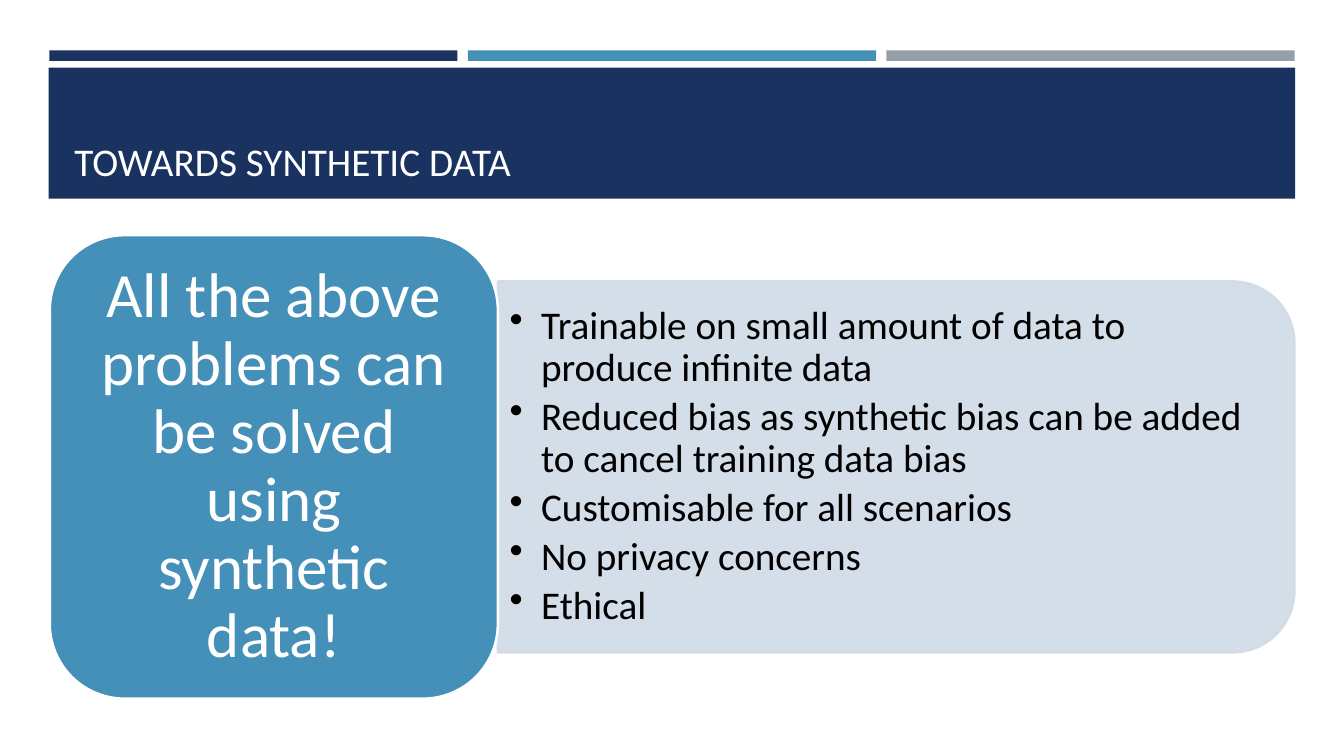
from lxml.etree import SubElement
from pptx import Presentation
from pptx.dml.color import RGBColor
from pptx.enum.shapes import MSO_SHAPE
from pptx.enum.text import MSO_ANCHOR, PP_ALIGN
from pptx.oxml.ns import qn
from pptx.util import Pt

COLOURS = {
    "navy": "1A3260",
    "blue": "4590B8",
    "grey": "969FA7",
    "pale": "CFDBE6",
    "white": "FFFFFF",
    "black": "000000",
}
BENEFITS = [
    "Trainable on small amount of data to produce infinite data",
    "Reduced bias as synthetic bias can be added to cancel training data bias",
    "Customisable for all scenarios",
    "No privacy concerns",
    "Ethical",
]


class SlideBuilder:
    """Draws styled elements on one slide, with lengths in points."""

    font = "Calibri"

    def __init__(self, slide):
        self.slide = slide

    def colour(self, name):
        return RGBColor.from_string(COLOURS[name])

    def block(self, preset, left, top, width, height, fill, line=None, opacity=None):
        block = self.slide.shapes.add_shape(
            preset, Pt(left), Pt(top), Pt(width), Pt(height))
        block.shadow.inherit = False
        block.fill.solid()
        block.fill.fore_color.rgb = self.colour(fill)
        if line:
            block.line.color.rgb = self.colour(line)
            block.line.width = Pt(1.75)
        else:
            block.line.fill.background()
        if opacity:
            for tint in block._element.spPr.iter(qn("a:srgbClr")):
                SubElement(tint, qn("a:alpha"), val=str(opacity * 1000))
        return block

    def set_text(self, holder, lines, size, colour, insets, anchor=MSO_ANCHOR.MIDDLE,
                 align=PP_ALIGN.LEFT, spacing=None, after=0, bullet_indent=None):
        frame = holder.text_frame
        frame.word_wrap = True
        frame.vertical_anchor = anchor
        (frame.margin_left, frame.margin_top,
         frame.margin_right, frame.margin_bottom) = map(Pt, insets)
        frame.text = "\n".join(lines)
        for paragraph in frame.paragraphs:
            paragraph.alignment = align
            paragraph.line_spacing = spacing
            paragraph.space_after = Pt(after)
            paragraph.font.name = self.font
            paragraph.font.size = Pt(size)
            paragraph.font.color.rgb = self.colour(colour)
            if bullet_indent:
                self.bullet(paragraph, bullet_indent)

    def bullet(self, paragraph, indent):
        properties = paragraph._p.get_or_add_pPr()
        properties.set("marL", str(Pt(indent)))
        properties.set("indent", str(-Pt(indent)))
        marker = SubElement(properties, qn("a:buChar"), char="•")
        properties.remove(marker)
        properties.insert_element_before(marker, "a:tabLst", "a:defRPr", "a:extLst")

    def textbox(self, left, top, width, height, lines, **style):
        box = self.slide.shapes.add_textbox(Pt(left), Pt(top), Pt(width), Pt(height))
        self.set_text(box, lines, **style)


def main():
    deck = Presentation()
    deck.slide_width, deck.slide_height = Pt(960), Pt(540)
    page = SlideBuilder(deck.slides.add_slide(deck.slide_layouts[6]))

    for column, accent in enumerate(["navy", "blue", "grey"]):
        page.block(MSO_SHAPE.RECTANGLE, 35.2 + 299 * column, 36, 291.6, 7.5, accent)

    title = page.block(MSO_SHAPE.RECTANGLE, 34.8, 48.4, 890.4, 93.6, "navy")
    page.set_text(title, ["TOWARDS SYNTHETIC DATA"], size=28, colour="white",
                  insets=(18.4, 10, 18.4, 10), anchor=MSO_ANCHOR.BOTTOM)

    panel = page.block(MSO_SHAPE.ROUND_2_SAME_RECTANGLE, 507.6, 49, 265, 569,
                       "pale", line="pale", opacity=90)
    panel.rotation = 90
    page.textbox(355.7, 213.8, 556, 239, BENEFITS, size=28, colour="black",
                 insets=(8.4, 4.2, 8.4, 4.2), spacing=0.9, after=4.6,
                 bullet_indent=22.5)

    claim = page.block(MSO_SHAPE.ROUNDED_RECTANGLE, 35.6, 168, 320, 331, "blue",
                       line="white")
    page.set_text(claim, ["All the above problems can be solved using synthetic data!"],
                  size=45, colour="white", insets=(13.5, 6.75, 13.5, 6.75),
                  align=PP_ALIGN.CENTER, spacing=0.9)

    deck.save("out.pptx")


if __name__ == "__main__":
    main()
